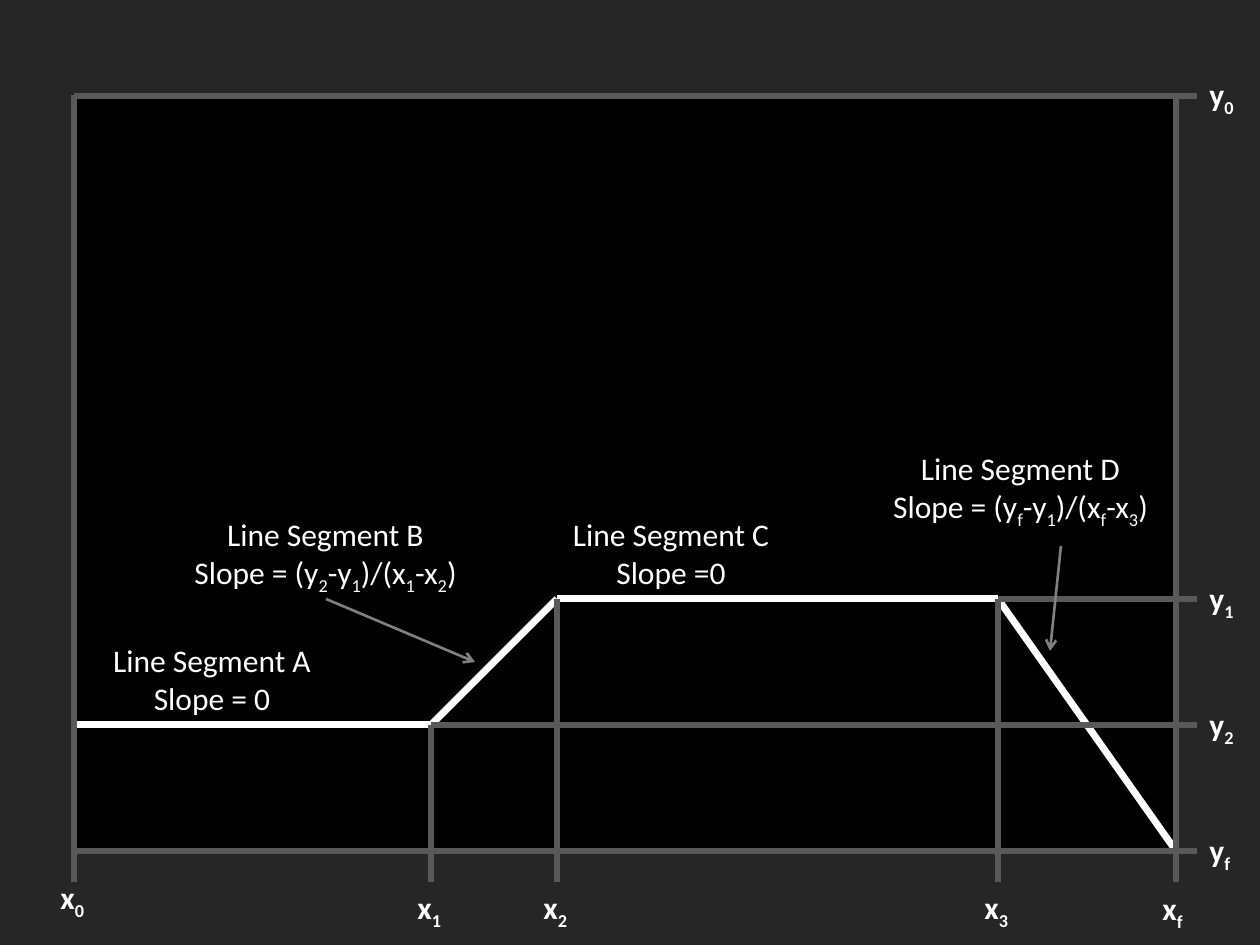
"""Build the slide of a piecewise linear profile with labelled segments and slopes."""
import pptx
import pptx.dml.color
import pptx.enum.shapes
import pptx.enum.text
import pptx.oxml.ns
import pptx.util
from lxml import etree

PX = 914400 // 126
THEME = {
    "back": "262626", "plot": "000000", "profile": "FFFFFF", "guide": "595959",
    "arrow": "808080", "text": "FFFFFF", "font": "Calibri", "size": 18,
    "profile_pt": 4, "guide_pt": 3, "arrow_pt": 1.5,
}
rgb = pptx.dml.color.RGBColor.from_string
qn = pptx.oxml.ns.qn

prs = pptx.Presentation()
prs.slide_width = pptx.util.Inches(10)
prs.slide_height = pptx.util.Inches(7.5)
s = prs.slides.add_slide(prs.slide_layouts[6])
s.background.fill.solid()
s.background.fill.fore_color.rgb = rgb(THEME["back"])


def add_line(start, end, role, head=False):
    straight = pptx.enum.shapes.MSO_CONNECTOR.STRAIGHT
    c = s.shapes.add_connector(straight, *[v * PX for v in (*start, *end)])
    c.line.color.rgb = rgb(THEME[role])
    c.line.width = pptx.util.Pt(THEME[role + "_pt"])
    if head:
        etree.SubElement(c.line._get_or_add_ln(), qn("a:tailEnd"), type="arrow")
    etree.SubElement(c._element.spPr, qn("a:effectLst"))


def add_label(box, lines, bold=False, align=None):
    sp = s.shapes.add_textbox(*[v * PX for v in box])
    tf = sp.text_frame
    tf.word_wrap = False
    tf.auto_size = pptx.enum.text.MSO_AUTO_SIZE.SHAPE_TO_FIT_TEXT
    for i, line in enumerate(lines):
        p = tf.paragraphs[0] if i == 0 else tf.add_paragraph()
        p.alignment = align
        first, *rest = line.split("_")
        runs = [(first, False)]
        for piece in rest:
            runs += [(piece[0], True), (piece[1:], False)]
        for text, subscript in runs:
            if not text:
                continue
            r = p.add_run()
            r.text = text
            r.font.name = THEME["font"]
            r.font.size = pptx.util.Pt(THEME["size"])
            r.font.bold = bold
            r.font.color.rgb = rgb(THEME["text"])
            if subscript:
                r._r.get_or_add_rPr().set("baseline", "-25000")


x0, x1, x2, x3, xf = 74, 431, 557, 998, 1176
y0, y1, y2, yf = 95, 599, 725, 851
x_end, y_end = 1197, 882

plot = s.shapes.add_shape(
    pptx.enum.shapes.MSO_SHAPE.RECTANGLE,
    x0 * PX, y0 * PX, (xf - x0) * PX, (yf - y0) * PX)
plot.shadow.inherit = False
plot.fill.solid()
plot.fill.fore_color.rgb = rgb(THEME["plot"])
plot.line.fill.background()

profile = [(x0, y2), (x1, y2), (x2, y1), (x3, y1), (xf, yf)]
for start, end in zip(profile, profile[1:]):
    add_line(start, end, "profile")

for x, y in [(x0, y0), (x1, y2), (x2, y1), (x3, y1), (xf, y0)]:
    add_line((x, y), (x, y_end), "guide")
for x, y in [(x1, y2), (x0, yf), (x3, y1), (x0, y0 + 1)]:
    add_line((x, y), (x_end, y), "guide")

for name, left, top in [("x_0", 48, 872), ("x_1", 405, 882), ("x_2", 531, 882),
                        ("x_3", 972, 882), ("x_f", 1150, 883)]:
    add_label((left, top, 50, 50), [name], bold=True)
for name, y in [("y_0", y0), ("y_1", y1), ("y_2", y2), ("y_f", yf)]:
    add_label((x_end, y - 26, 51, 50), [name], bold=True)

for name, slope, left, top, width in [
    ("A", "Slope = 0", 99, 635, 226),
    ("B", "Slope = (y_2-y_1)/(x_1-x_2)", 177, 509, 297),
    ("C", "Slope =0", 559, 509, 224),
    ("D", "Slope = (y_f-y_1)/(x_f-x_3)", 876, 443, 289),
]:
    add_label((left, top, width, 89), ["Line Segment " + name, slope],
              align=pptx.enum.text.PP_ALIGN.CENTER)

add_line((326, 599), (475, 662), "arrow", head=True)
add_line((1061, 546), (1050, 651), "arrow", head=True)

prs.save("out.pptx")
